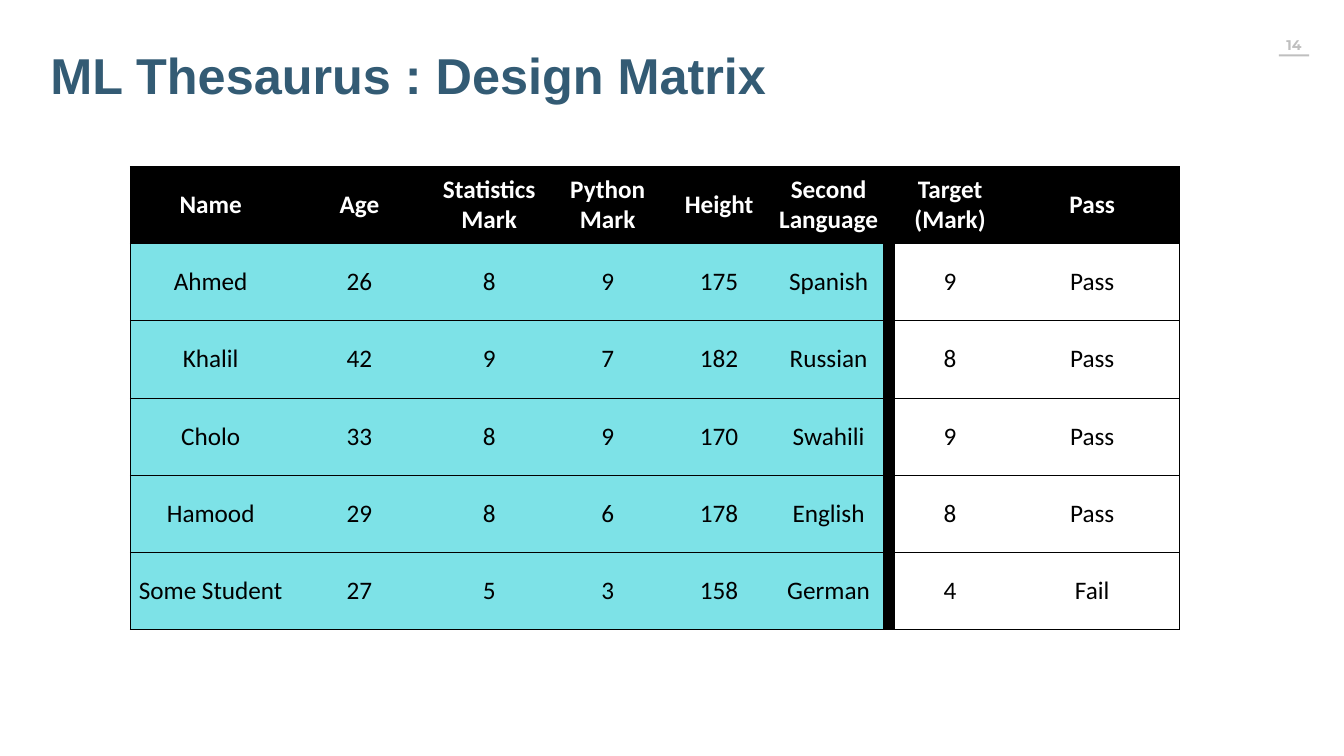
"""Build the design matrix slide with its table of students."""
from dataclasses import dataclass

from lxml.etree import SubElement
from pptx import Presentation
from pptx.dml.color import RGBColor as RGB
from pptx.enum.shapes import MSO_SHAPE as Shape
from pptx.enum.text import MSO_ANCHOR as Anchor, PP_ALIGN as Align
from pptx.oxml.ns import qn
from pptx.util import Cm, Pt


@dataclass(frozen=True)
class Theme:
    title: RGB = RGB(0x33, 0x5B, 0x74)
    page: RGB = RGB(0xBF, 0xBF, 0xBF)
    feature: RGB = RGB(0x7D, 0xE2, 0xE7)
    black: RGB = RGB(0, 0, 0)
    white: RGB = RGB(0xFF, 0xFF, 0xFF)
    title_size: int = 72
    table_size: int = 36
    page_size: int = 20
    border: float = 0.5


@dataclass(frozen=True)
class Box:
    left: float
    top: float
    width: float
    height: float

    def lengths(self) -> tuple:
        return Cm(self.left), Cm(self.top), Cm(self.width), Cm(self.height)


@dataclass(frozen=True)
class Font:
    name: str
    size: int
    color: RGB
    bold: bool = False


@dataclass(frozen=True)
class Student:
    name: str
    age: int
    statistics: int
    python: int
    height: int
    language: str
    target: int
    result: str

    def cells(self) -> list[str]:
        return [str(v) for v in (self.name, self.age, self.statistics, self.python,
                                 self.height, self.language, "", self.target, self.result)]


THEME = Theme()
HEADER = ["Name", "Age", "Statistics Mark", "Python Mark", "Height",
          "Second Language", "", "Target\n(Mark)", "Pass"]
STUDENTS = [
    Student("Ahmed", 26, 8, 9, 175, "Spanish", 9, "Pass"),
    Student("Khalil", 42, 9, 7, 182, "Russian", 8, "Pass"),
    Student("Cholo", 33, 8, 9, 170, "Swahili", 9, "Pass"),
    Student("Hamood", 29, 8, 6, 178, "English", 8, "Pass"),
    Student("Some Student", 27, 5, 3, 158, "German", 4, "Fail"),
]
COLUMN_WIDTHS = [8.13, 6.86, 6.22, 5.72, 5.51, 5.52, 0.58, 5.51, 8.81]
ROW_HEIGHT = 3.89
DIVIDER = HEADER.index("")


def format_text(tf, font: Font, align: Align) -> None:
    for p in tf.paragraphs:
        p.alignment = align
        for r in p.runs:
            r.font.name = font.name
            r.font.size = Pt(font.size)
            r.font.bold = font.bold
            r.font.color.rgb = font.color


def add_text(slide, box: Box, text: str, font: Font, align: Align, wrap: bool = True):
    tf = slide.shapes.add_textbox(*box.lengths()).text_frame
    tf.word_wrap = wrap
    tf.text = text
    format_text(tf, font, align)
    return tf


def add_page_number(slide, text: str) -> None:
    font = Font("Montserrat", THEME.page_size, THEME.page, True)
    tf = add_text(slide, Box(64.11, 1.57, 2.18, 1.37), text, font, Align.CENTER, False)
    tf.margin_left = tf.margin_right = Cm(0.51)
    tf.margin_top = tf.margin_bottom = Cm(0.25)
    rule = slide.shapes.add_shape(Shape.RECTANGLE, *Box(64.44, 2.74, 1.52, 0.1).lengths())
    rule.shadow.inherit = False
    rule.fill.solid()
    rule.fill.fore_color.rgb = THEME.page
    rule.line.fill.background()


def set_borders(cell, visible: set[str]) -> None:
    tc_pr = cell._tc.get_or_add_tcPr()
    for i, side in enumerate("LRTB"):
        ln = SubElement(tc_pr, qn(f"a:ln{side}"), w=str(Pt(THEME.border)))
        if side in visible:
            fill = SubElement(ln, qn("a:solidFill"))
            SubElement(fill, qn("a:srgbClr"), val=str(THEME.black))
        else:
            SubElement(ln, qn("a:noFill"))
        tc_pr.insert(i, ln)


def cell_fill(row: int, column: int) -> RGB:
    if row == 0 or column == DIVIDER:
        return THEME.black
    return THEME.feature if column < DIVIDER else THEME.white


def add_matrix(slide, left: float, top: float) -> None:
    rows = [HEADER] + [s.cells() for s in STUDENTS]
    box = Box(left, top, sum(COLUMN_WIDTHS), ROW_HEIGHT * len(rows))
    table = slide.shapes.add_table(len(rows), len(HEADER), *box.lengths()).table
    table.horz_banding = False
    for column, width in zip(table.columns, COLUMN_WIDTHS):
        column.width = Cm(width)
    for i, values in enumerate(rows):
        table.rows[i].height = Cm(ROW_HEIGHT)
        font = Font("Calibri", THEME.table_size, THEME.black if i else THEME.white, i == 0)
        for j, text in enumerate(values):
            cell = table.cell(i, j)
            cell.text = text
            cell.vertical_anchor = Anchor.MIDDLE
            format_text(cell.text_frame, font, Align.CENTER)
            cell.fill.solid()
            cell.fill.fore_color.rgb = cell_fill(i, j)
            outer = {0: {"L"}, len(values) - 1: {"R"}}.get(j, set())
            set_borders(cell, {"T", "B"} | outer)


def main() -> None:
    prs = Presentation()
    prs.slide_width, prs.slide_height = Cm(67.72), Cm(38.1)
    slide = prs.slides.add_slide(prs.slide_layouts[6])
    add_page_number(slide, "14")
    add_text(slide, Box(2.29, 2.08, 53.09, 3.33), "ML Thesaurus : Design Matrix",
             Font("Arial", THEME.title_size, THEME.title, True), Align.LEFT)
    add_matrix(slide, 6.55, 8.38)
    prs.save("out.pptx")


if __name__ == "__main__":
    main()
